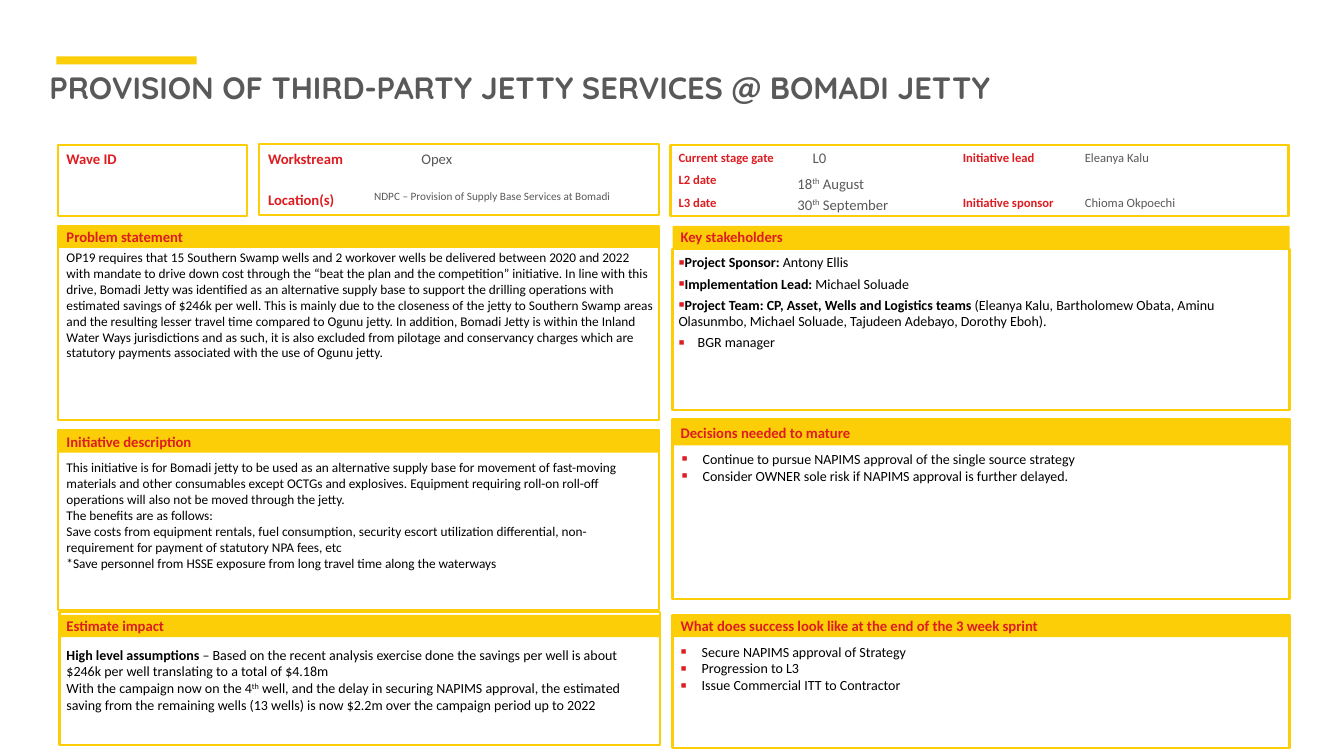
import pptx
import pptx.dml.color
import pptx.enum.shapes
import pptx.enum.text
import pptx.oxml
import pptx.oxml.ns
import pptx.util
from pptx.util import Inches

COLORS = {"yellow": "FBCE07", "red": "DD1D21", "gray": "595959", "black": "000000", "white": "FFFFFF"}
LABEL = {"size": 10.5, "color": "red", "bold": True}
SMALL_LABEL = {"size": 9, "color": "red", "bold": True}
VALUE = {"size": 10.5, "color": "gray"}
SMALL_VALUE = {"size": 9, "color": "gray"}
BODY = {"size": 10, "color": "black"}
SMALL_BODY = {"size": 9.5, "color": "black"}

presentation = pptx.Presentation()
presentation.slide_width = Inches(13.33)
presentation.slide_height = Inches(7.5)
slide = presentation.slides.add_slide(presentation.slide_layouts[6])


def add_box(left, top, width, height, fill, outlined=False):
    shape = slide.shapes.add_shape(
        pptx.enum.shapes.MSO_SHAPE.RECTANGLE, Inches(left), Inches(top), Inches(width), Inches(height))
    shape.shadow.inherit = False
    shape.fill.solid()
    shape.fill.fore_color.rgb = pptx.dml.color.RGBColor.from_string(COLORS[fill])
    if outlined:
        shape.line.color.rgb = pptx.dml.color.RGBColor.from_string(COLORS["yellow"])
        shape.line.width = pptx.util.Pt(1.5)
    else:
        shape.line.fill.background()
    return shape


def write(shape, paragraphs, style, inset=0, indents=(), space=0):
    """Fill a shape with paragraphs, each a list of (text, "" | "bold" | "super") runs.

    indents holds one (margin, first line) pair per paragraph and turns on bullets.
    """
    frame = shape.text_frame
    frame.word_wrap = True
    for side in ("left", "top", "right", "bottom"):
        setattr(frame, f"margin_{side}", Inches(inset))
    for index, runs in enumerate(paragraphs):
        paragraph = frame.paragraphs[0] if index == 0 else frame.add_paragraph()
        paragraph.alignment = pptx.enum.text.PP_ALIGN.LEFT
        if indents:
            properties = paragraph._p.get_or_add_pPr()
            margin, first_line = indents[index]
            properties.set("marL", str(Inches(margin)))
            properties.set("indent", str(Inches(first_line)))
            namespace = pptx.oxml.ns.nsdecls("a")
            for bullet_xml in (
                f'<a:buClr {namespace}><a:srgbClr val="{COLORS["red"]}"/></a:buClr>',
                f'<a:buSzPct {namespace} val="125000"/>',
                f'<a:buFont {namespace} typeface="Calibri"/>',
                f'<a:buChar {namespace} char="▪"/>',
            ):
                properties.append(pptx.oxml.parse_xml(bullet_xml))
        if index and space:
            paragraph.space_before = pptx.util.Pt(space)
        for text, emphasis in runs:
            run = paragraph.add_run()
            run.text = text
            font_format = {
                "name": style.get("font", "Calibri"),
                "size": pptx.util.Pt(style["size"]),
                "bold": style.get("bold", False) or emphasis == "bold",
            }
            for name, value in font_format.items():
                setattr(run.font, name, value)
            run.font.color.rgb = pptx.dml.color.RGBColor.from_string(COLORS[style["color"]])
            if emphasis == "super":
                run._r.get_or_add_rPr().set("baseline", "30000")


# Title
add_box(0.56, 0.56, 1.39, 0.08, "yellow")
title = slide.shapes.add_textbox(Inches(0.49), Inches(0.68), Inches(12.51), Inches(0.37))
write(title, [[("PROVISION OF THIRD-PARTY JETTY SERVICES @ BOMADI JETTY", "")]],
      {"size": 22, "color": "gray", "bold": True, "font": "Quicksand"})

# Header boxes
for left, top, width in ((0.58, 1.44, 1.87), (2.57, 1.43, 3.97), (6.65, 1.44, 6.13)):
    add_box(left, top, width, 0.7, "white", outlined=True)

header_fields = [
    (0.66, 1.49, 0.8, "Wave ID", LABEL),
    (2.66, 1.49, 1, "Workstream", LABEL),
    (4.18, 1.49, 0.6, "Opex", VALUE),
    (2.66, 1.89, 1, "Location(s)", LABEL),
    (3.71, 1.88, 2.75, "NDPC – Provision of Supply Base Services at Bomadi", {"size": 8, "color": "gray"}),
    (6.73, 1.49, 1.16, "Current stage gate", SMALL_LABEL),
    (6.73, 1.71, 1.16, "L2 date", SMALL_LABEL),
    (6.73, 1.93, 1.16, "L3 date", SMALL_LABEL),
    (8.06, 1.48, 1.09, "L0", VALUE),
    (9.55, 1.49, 1.16, "Initiative lead", SMALL_LABEL),
    (9.55, 1.93, 1.16, "Initiative sponsor", SMALL_LABEL),
    (10.76, 1.49, 1.6, "Eleanya Kalu", SMALL_VALUE),
    (10.76, 1.93, 1.6, "Chioma Okpoechi", SMALL_VALUE),
]
for left, top, width, text, style in header_fields:
    field = slide.shapes.add_textbox(Inches(left), Inches(top), Inches(width), Inches(0.17))
    write(field, [[(text, "")]], style)

for top, day, month in ((1.73, "18", " August"), (1.94, "30", " September")):
    date = slide.shapes.add_textbox(Inches(7.91), Inches(top), Inches(1.4), Inches(0.16))
    write(date, [[(day, ""), ("th", "super"), (month, "")]], VALUE)

# Section panels: heading, frame, heading bar top and height
panels = [
    ("Problem statement", (0.58, 2.24, 5.96, 1.93), 2.24, 0.22),
    ("Initiative description", (0.58, 4.27, 5.96, 1.78), 4.27, 0.22),
    ("Estimate impact", (0.59, 6.07, 5.96, 1.32), 6.1, 0.22),
    ("Key stakeholders", (6.67, 2.47, 6.12, 1.6), 2.24, 0.22),
    ("Decisions needed to mature", (6.67, 4.16, 6.12, 1.78), 4.16, 0.26),
    ("What does success look like at the end of the 3 week sprint", (6.67, 6.1, 6.12, 1.32), 6.1, 0.22),
]
for heading, panel, bar_top, bar_height in panels:
    add_box(*panel, "white", outlined=True)
    bar_left = 0.58 if panel[0] < 1 else 6.67
    bar = add_box(bar_left, bar_top, panel[2], bar_height, "yellow")
    write(bar, [[(heading, "")]], LABEL, inset=0.08)
    bar.text_frame.vertical_anchor = pptx.enum.text.MSO_ANCHOR.MIDDLE

problem = [[(
    "OP19 requires that 15 Southern Swamp wells and 2 workover wells be delivered between 2020 and 2022 "
    "with mandate to drive down cost through the “beat the plan and the competition” initiative. In line "
    "with this drive, Bomadi Jetty was identified as an alternative supply base to support the drilling "
    "operations with estimated savings of $246k per well. This is mainly due to the closeness of the jetty "
    "to Southern Swamp areas and the resulting lesser travel time compared to Ogunu jetty. In addition, "
    "Bomadi Jetty is within the Inland Water Ways jurisdictions and as such, it is also excluded from "
    "pilotage and conservancy charges which are statutory payments associated with the use of Ogunu jetty.",
    "")]]
description = [[(text, "")] for text in (
    "This initiative is for Bomadi jetty to be used as an alternative supply base for movement of "
    "fast-moving materials and other consumables except OCTGs and explosives. Equipment requiring roll-on "
    "roll-off operations will also not be moved through the jetty.",
    "The benefits are as follows:",
    "Save costs from equipment rentals, fuel consumption, security escort utilization differential, "
    "non-requirement for payment of statutory NPA fees, etc",
    "*Save personnel from HSSE exposure from long travel time along the waterways",
)]
impact = [
    [("High level assumptions ", "bold"),
     ("– Based on the recent analysis exercise done the savings per well is about $246k per well "
      "translating to a total of $4.18m", "")],
    [("With the campaign now on the 4", ""), ("th", "super"),
     (" well, and the delay in securing NAPIMS approval, the estimated saving from the remaining wells "
      "(13 wells) is now $2.2m over the campaign period up to 2022", "")],
]
stakeholders = [
    [("Project Sponsor:", "bold"), (" Antony Ellis", "")],
    [("Implementation Lead: ", "bold"), ("Michael Soluade", "")],
    [("Project Team: CP, Asset, Wells and Logistics teams ", "bold"),
     ("(Eleanya Kalu, Bartholomew Obata, Aminu Olasunmbo, Michael Soluade, Tajudeen Adebayo, "
      "Dorothy Eboh).", "")],
    [("BGR manager", "")],
]
decisions = [[(text, "")] for text in (
    "Continue to pursue NAPIMS approval of the single source strategy",
    "Consider OWNER sole risk if NAPIMS approval is further delayed.",
)]
success = [[(text, "")] for text in (
    "Secure NAPIMS approval of Strategy",
    "Progression to L3",
    "Issue Commercial ITT to Contractor",
)]

hanging = (0.21, -0.21)
panel_texts = [
    ((0.66, 2.47, 5.84, 1.44), problem, SMALL_BODY, [], 0),
    ((0.66, 4.56, 5.73, 1.2), description, SMALL_BODY, [], 0),
    ((0.66, 6.41, 5.73, 0.75), impact, BODY, [], 0),
    ((6.73, 2.52, 5.94, 1.23), stakeholders, BODY, [(0, -0.21)] * 3 + [(0.19, -0.19)], 3),
    ((6.76, 4.47, 5.94, 1.31), decisions, BODY, [hanging] * 2, 0),
    ((6.75, 6.38, 5.94, 0.6), success, BODY, [hanging] * 3, 0),
]
for place, paragraphs, style, indents, space in panel_texts:
    text_box = slide.shapes.add_textbox(*(Inches(length) for length in place))
    write(text_box, paragraphs, style, indents=indents, space=space)

presentation.save("out.pptx")
